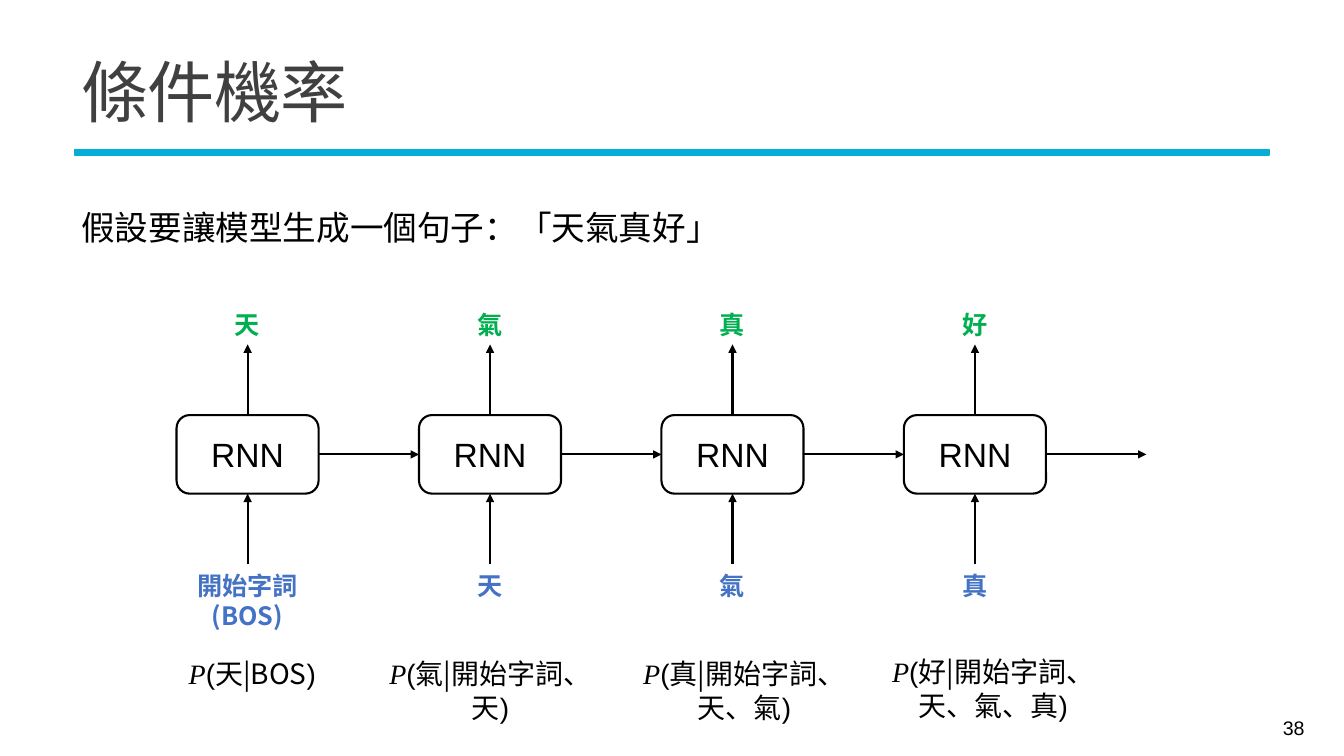
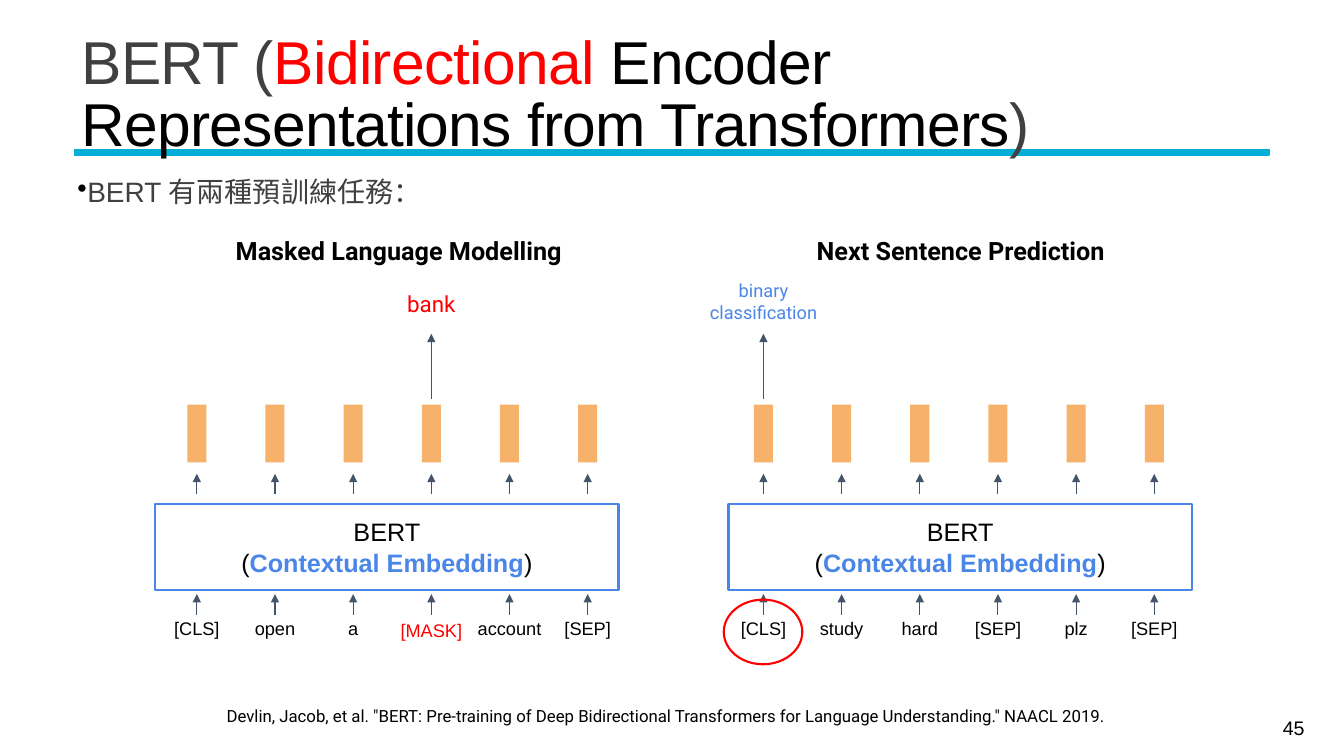
from lxml.etree import SubElement
from pptx import Presentation
from pptx.dml.color import RGBColor
from pptx.enum.shapes import MSO_CONNECTOR as CONN, MSO_SHAPE as SHAPE
from pptx.enum.text import MSO_ANCHOR as ANCHOR, MSO_AUTO_SIZE as AUTOSIZE, PP_ALIGN as ALIGN
from pptx.oxml.ns import qn
from pptx.util import Cm, Pt

BLACK = RGBColor(0x00, 0x00, 0x00)
GRAY = RGBColor(0x40, 0x40, 0x40)
CYAN = RGBColor(0x05, 0xAE, 0xD6)
RED = RGBColor(0xFF, 0x00, 0x00)
GREEN = RGBColor(0x00, 0xB0, 0x50)
INPUT_BLUE = RGBColor(0x44, 0x72, 0xC4)
BERT_BLUE = RGBColor(0x4A, 0x86, 0xE8)
SLATE = RGBColor(0x44, 0x54, 0x6A)
ORANGE = RGBColor(0xF6, 0xB2, 0x6B)

ARIAL = "Arial"
CJK = "Noto Sans CJK TC"
ROBOTO = "Roboto"
TIMES = "Times New Roman"


def add_run(p, text, size=18, font=ARIAL, color=BLACK, bold=False, italic=False, spc=None):
    r = p.add_run()
    r.text = text
    f = r.font
    f.size, f.name, f.bold, f.italic = Pt(size), font, bold, italic
    f.color.rgb = color
    rpr = r._r.get_or_add_rPr()
    SubElement(rpr, qn("a:ea")).set("typeface", CJK)
    if spc is not None:
        rpr.set("spc", str(spc))


def write(tf, text, align=ALIGN.CENTER, anchor=ANCHOR.TOP, inset=None,
          spacing=None, bullet=False, **fmt):
    tf.word_wrap = True
    tf.auto_size = AUTOSIZE.NONE
    tf.vertical_anchor = anchor
    if inset is not None:
        tf.margin_left = tf.margin_right = tf.margin_top = tf.margin_bottom = Cm(inset)
    paragraphs = [[(text, {})]] if isinstance(text, str) else text
    for i, runs in enumerate(paragraphs):
        p = tf.add_paragraph() if i else tf.paragraphs[0]
        p.alignment = align
        if spacing:
            p.line_spacing = spacing
        if bullet:
            ppr = p._p.get_or_add_pPr()
            ppr.set("marL", str(Cm(0.25)))
            ppr.set("indent", str(-Cm(0.25)))
            clr = SubElement(ppr, qn("a:buClr"))
            SubElement(clr, qn("a:srgbClr")).set("val", str(BLACK))
            SubElement(ppr, qn("a:buChar")).set("char", "•")
        for run_text, own in runs:
            add_run(p, run_text, **{**fmt, **own})


def add_label(slide, text, x, y, w, h, **fmt):
    sp = slide.shapes.add_textbox(Cm(x), Cm(y), Cm(w), Cm(h))
    write(sp.text_frame, text, **fmt)


def add_centered(slide, text, cx, y, w, h, **fmt):
    add_label(slide, text, cx - w / 2, y, w, h, **fmt)


def add_box(slide, kind, x, y, w, h, fill=None, line=None, width=1.5):
    sp = slide.shapes.add_shape(kind, Cm(x), Cm(y), Cm(w), Cm(h))
    sp.shadow.inherit = False
    if fill is None:
        sp.fill.background()
    else:
        sp.fill.solid()
        sp.fill.fore_color.rgb = fill
    if line is None:
        sp.line.fill.background()
    else:
        sp.line.color.rgb = line
        sp.line.width = Pt(width)
    return sp


def add_arrow(slide, x1, y1, x2, y2, color=BLACK, width=1.5):
    c = slide.shapes.add_connector(CONN.STRAIGHT, Cm(x1), Cm(y1), Cm(x2), Cm(y2))
    c.line.color.rgb = color
    c.line.width = Pt(width)
    sppr = c.element.spPr
    SubElement(sppr.find(qn("a:ln")), qn("a:tailEnd")).set("type", "triangle")
    SubElement(sppr, qn("a:effectLst"))


def start_slide(prs, title, number, size, font):
    slide = prs.slides.add_slide(prs.slide_layouts[5])
    sp = slide.shapes.title
    sp.left, sp.top, sp.width, sp.height = Cm(1.8), Cm(1), Cm(30.33), Cm(2.87)
    write(sp.text_frame, title, align=ALIGN.LEFT, anchor=ANCHOR.MIDDLE,
          spacing=0.85, size=size, font=font, color=GRAY, spc=-50)
    band = add_box(slide, SHAPE.RECTANGLE, 1.88, 3.77, 30.1, 0.13, CYAN, CYAN, 1.25)
    sp.element.addprevious(band.element)
    add_label(slide, str(number), 29.5, 17.83, 3.63, 1.02,
              align=ALIGN.RIGHT, anchor=ANCHOR.MIDDLE, size=14)
    return slide


def add_rnn_cell(slide, cx, token_in, token_out):
    w, h, top, gap = 3.58, 1.98, 10.46, 1.78
    mid, bottom = top + h / 2, top + h
    sp = add_box(slide, SHAPE.ROUNDED_RECTANGLE, cx - w / 2, top, w, h, line=BLACK)
    write(sp.text_frame, "RNN", anchor=ANCHOR.MIDDLE, size=24)
    add_arrow(slide, cx, top, cx, top - gap)
    add_arrow(slide, cx, bottom + gap, cx, bottom)
    add_arrow(slide, cx + w / 2, mid, cx + w / 2 + 2.53, mid)
    add_centered(slide, token_out, cx, 7.67, 3.15, 1.02,
                 font=CJK, color=GREEN, bold=True)
    add_centered(slide, token_in, cx, 14.25, 3.15, 1.8,
                 font=CJK, color=INPUT_BLUE, bold=True)


def add_probability(slide, event, cx, y):
    runs = [("P", dict(font=TIMES, italic=True)), ("(", {}),
            (event, dict(font=CJK)), (")", {})]
    add_centered(slide, [runs], cx, y, 5.92, 1.96, size=20)


def add_bert_model(slide, heading, heading_cx, box_x, first_cx, tokens, marked,
                   result, result_y, result_size, result_color):
    add_centered(slide, heading, heading_cx, 5.69, 8.76, 1.27,
                 inset=0.25, font=ROBOTO, bold=True)
    sp = add_box(slide, SHAPE.RECTANGLE, box_x, 12.7, 11.68, 2.16, line=BERT_BLUE)
    write(sp.text_frame,
          [[("BERT", {})],
           [("(", {}), ("Contextual Embedding", dict(color=BERT_BLUE, bold=True)), (")", {})]],
          anchor=ANCHOR.MIDDLE, inset=0.25)
    for i, token in enumerate(tokens):
        cx = first_cx + 1.97 * i
        add_box(slide, SHAPE.RECTANGLE, cx - 0.24, 10.2, 0.48, 1.45, ORANGE)
        for start, end in ((12.45, 11.94), (15.49, 14.97)):
            add_arrow(slide, cx, start, cx, end, SLATE, 0.75)
        masked = token == "[MASK]"
        add_centered(slide, token, cx, 15.49 if masked else 15.42, 2.4, 0.81,
                     size=13, color=RED if masked else BLACK)
    cx = first_cx + 1.97 * marked
    add_arrow(slide, cx, 10.06, cx, 8.41, SLATE, 0.75)
    add_centered(slide, result, cx, result_y, 3.3, 1.63, inset=0.25,
                 font=ROBOTO, size=result_size, color=result_color)


def build_probability_slide(prs):
    slide = start_slide(prs, "條件機率", 38, 48, CJK)
    add_label(slide, "假設要讓模型生成一個句子：「天氣真好」", 1.8, 5.1, 18.24, 1.27,
              align=ALIGN.LEFT, size=24, font=CJK)
    steps = [
        ("開始字詞 (BOS)", "天", "天|BOS", 6.36, 16.43),
        ("天", "氣", "氣|開始字詞、天", 12.36, 16.43),
        ("氣", "真", "真|開始字詞、天、氣", 18.76, 16.43),
        ("真", "好", "好|開始字詞、天、氣、真", 25.03, 16.38),
    ]
    for i, (token_in, token_out, event, event_cx, event_y) in enumerate(steps):
        add_rnn_cell(slide, 6.24 + 6.11 * i, token_in, token_out)
        add_probability(slide, event, event_cx, event_y)


def build_bert_slide(prs):
    title = [[("BERT (", {}), ("Bidirectional ", dict(color=RED)),
              ("Encoder Representations from Transformers", dict(color=BLACK)), (")", {})]]
    slide = start_slide(prs, title, 45, 43.2, ARIAL)
    add_label(slide, "BERT 有兩種預訓練任務：", 1.7, 4.37, 27.94, 1.2,
              align=ALIGN.LEFT, spacing=0.9, bullet=True, size=20, color=GRAY)
    add_bert_model(slide, "Masked Language Modelling", 10.05, 3.91, 4.96,
                   ["[CLS]", "open", "a", "[MASK]", "account", "[SEP]"], 3,
                   "bank", 7.06, 16, RED)
    add_bert_model(slide, "Next Sentence Prediction", 24.21, 18.36, 19.24,
                   ["[CLS]", "study", "hard", "[SEP]", "plz", "[SEP]"], 0,
                   "binary classification", 6.78, 13, BERT_BLUE)
    add_box(slide, SHAPE.OVAL, 18.24, 15.11, 1.98, 1.63, line=RED)
    add_label(slide, "Devlin, Jacob, et al. \"BERT: Pre-training of Deep Bidirectional "
              "Transformers for Language Understanding.\" NAACL 2019.",
              5.46, 17.53, 22.99, 1.02, align=ALIGN.LEFT, inset=0.25,
              size=12, font=ROBOTO)


def main():
    prs = Presentation()
    prs.slide_width, prs.slide_height = Cm(33.87), Cm(19.05)
    build_probability_slide(prs)
    build_bert_slide(prs)
    prs.save("out.pptx")


if __name__ == "__main__":
    main()
